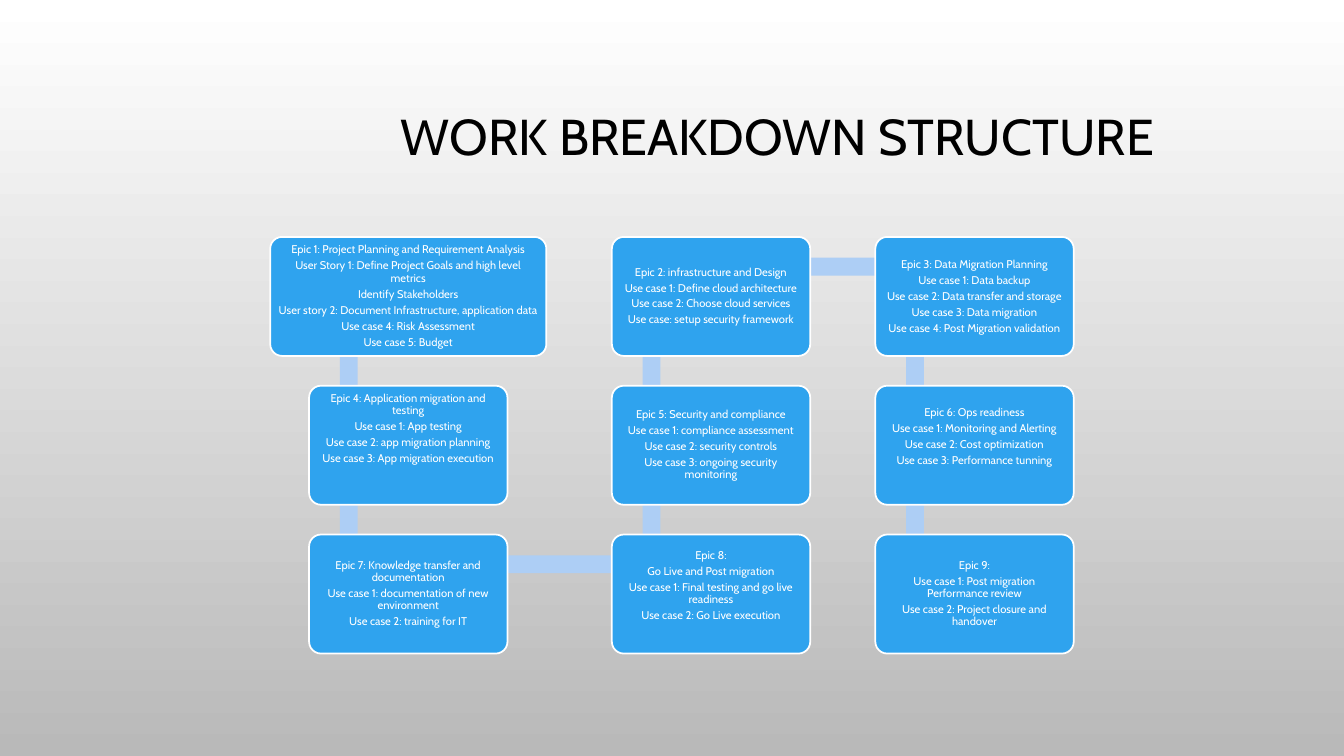
from dataclasses import dataclass
from itertools import pairwise

from pptx import Presentation, util as u
from pptx.dml.color import RGBColor
from pptx.enum import shapes, text

WHITE = RGBColor(0xFF, 0xFF, 0xFF)
BLACK = RGBColor(0, 0, 0)
GREY = RGBColor(0xB9, 0xB9, 0xB9)
BLUE = RGBColor(0x2F, 0xA3, 0xEE)
PALE_BLUE = RGBColor(0xAD, 0xCE, 0xF5)
FONT = "Cabin"

# Grid, in centimetres
COLUMN_CENTRES = (10.29, 17.92, 24.56)
FIRST_TOP, ROW_PITCH, BOX_HEIGHT = 5.97, 3.75, 3.0
BOX_WIDTH, WIDE_BOX = 5.0, 6.96
LINK_THICKNESS = 0.45
LINK_LEFT, LINK_DOWN = 1.5, 0.75  # link joint, from column centre and row top
INSET, LINE_PITCH = 0.08, 0.4


@dataclass
class Epic:
    column: int
    row: int
    lines: list[str]
    width: float = BOX_WIDTH
    raised_lines: int = 0  # lines kept free below the text

    @property
    def centre(self) -> float:
        return COLUMN_CENTRES[self.column]

    @property
    def top(self) -> float:
        return FIRST_TOP + self.row * ROW_PITCH

    @property
    def joint(self) -> tuple[float, float]:
        return self.centre - LINK_LEFT, self.top + LINK_DOWN


# Epics in the order the links run: down, up, down
EPICS = [
    Epic(0, 0, ["Epic 1: Project Planning and Requirement Analysis",
                "User Story 1: Define Project Goals and high level metrics",
                "Identify Stakeholders",
                "User story 2: Document Infrastructure, application data",
                "Use case 4: Risk Assessment",
                "Use case 5: Budget"], width=WIDE_BOX),
    Epic(0, 1, ["Epic 4: Application migration and testing",
                "Use case 1: App testing",
                "Use case 2: app migration planning",
                "Use case 3: App migration execution"], raised_lines=2),
    Epic(0, 2, ["Epic 7: Knowledge transfer and documentation",
                "Use case 1: documentation of new environment",
                "Use case 2: training for IT"]),
    Epic(1, 2, ["Epic 8:",
                "Go Live and Post migration",
                "Use case 1: Final testing and go live readiness",
                "Use case 2: Go Live execution"], raised_lines=1),
    Epic(1, 1, ["Epic 5: Security and compliance",
                "Use case 1: compliance assessment",
                "Use case 2: security controls",
                "Use case 3: ongoing security monitoring"]),
    Epic(1, 0, ["Epic 2: infrastructure and Design",
                "Use case 1: Define cloud architecture",
                "Use case 2: Choose cloud services",
                "Use case: setup security framework"]),
    Epic(2, 0, ["Epic 3: Data Migration Planning",
                "Use case 1: Data backup",
                "Use case 2: Data transfer and storage",
                "Use case 3: Data migration",
                "Use case 4: Post Migration validation"]),
    Epic(2, 1, ["Epic 6: Ops readiness",
                "Use case 1: Monitoring and Alerting",
                "Use case 2: Cost optimization",
                "Use case 3: Performance tunning"], raised_lines=1),
    Epic(2, 2, ["Epic 9:",
                "Use case 1: Post migration Performance review",
                "Use case 2: Project closure and handover"]),
]


def apply(target, formats: dict) -> None:
    for name, value in formats.items():
        setattr(target, name, value)


def write(frame, lines: list[str], size: float, color: RGBColor, space_after: float) -> None:
    apply(frame, {"word_wrap": True, "auto_size": text.MSO_AUTO_SIZE.NONE,
                  "vertical_anchor": text.MSO_ANCHOR.MIDDLE})
    for index, line in enumerate(lines):
        para = frame.add_paragraph() if index else frame.paragraphs[0]
        apply(para, {"alignment": text.PP_ALIGN.CENTER, "line_spacing": 0.9,
                     "space_before": u.Pt(0), "space_after": u.Pt(space_after)})
        span = para.add_run()
        span.text = line
        apply(span.font, {"name": FONT, "size": u.Pt(size)})
        span.font.color.rgb = color


def add_block(page, kind, left: float, top: float, width: float, height: float, color: RGBColor):
    block = page.shapes.add_shape(kind, u.Cm(left), u.Cm(top), u.Cm(width), u.Cm(height))
    block.shadow.inherit = False
    block.fill.solid()
    block.fill.fore_color.rgb = color
    block.line.fill.background()
    return block


def add_link(page, start: Epic, end: Epic) -> None:
    (x1, y1), (x2, y2) = start.joint, end.joint
    half = LINK_THICKNESS / 2
    if start.column == end.column:
        place = x1 - half, min(y1, y2), LINK_THICKNESS, abs(y2 - y1)
    else:
        place = min(x1, x2), y1 - half, abs(x2 - x1), LINK_THICKNESS
    add_block(page, shapes.MSO_SHAPE.RECTANGLE, *place, PALE_BLUE)


def add_epic(page, epic: Epic) -> None:
    box = add_block(page, shapes.MSO_SHAPE.ROUNDED_RECTANGLE, epic.centre - epic.width / 2,
                    epic.top, epic.width, BOX_HEIGHT, BLUE)
    box.adjustments[0] = 0.1
    box.line.color.rgb = WHITE
    box.line.width = u.Pt(1.25)
    apply(box.text_frame, {"margin_left": u.Cm(INSET), "margin_right": u.Cm(INSET),
                           "margin_top": u.Cm(INSET),
                           "margin_bottom": u.Cm(INSET + epic.raised_lines * LINE_PITCH)})
    write(box.text_frame, epic.lines, 8, WHITE, 2.8)


def main() -> None:
    deck = Presentation()
    deck.slide_width, deck.slide_height = u.Cm(33.87), u.Cm(19.05)
    page = deck.slides.add_slide(deck.slide_layouts[5])

    # Background, white at the top to grey at the bottom
    fill = page.background.fill
    fill.gradient()
    fill.gradient_angle = 270
    for stop, color in zip(fill.gradient_stops, (WHITE, GREY)):
        stop.color.rgb = color

    # Title
    title = page.shapes.title
    apply(title, {"left": u.Cm(7.21), "top": u.Cm(1.73),
                  "width": u.Cm(24.77), "height": u.Cm(3.56)})
    write(title.text_frame, ["WORK BREAKDOWN STRUCTURE"], 36, BLACK, 0)

    # Links lie behind the epics
    for start, end in pairwise(EPICS):
        add_link(page, start, end)
    for epic in EPICS:
        add_epic(page, epic)

    deck.save("out.pptx")


if __name__ == "__main__":
    main()
